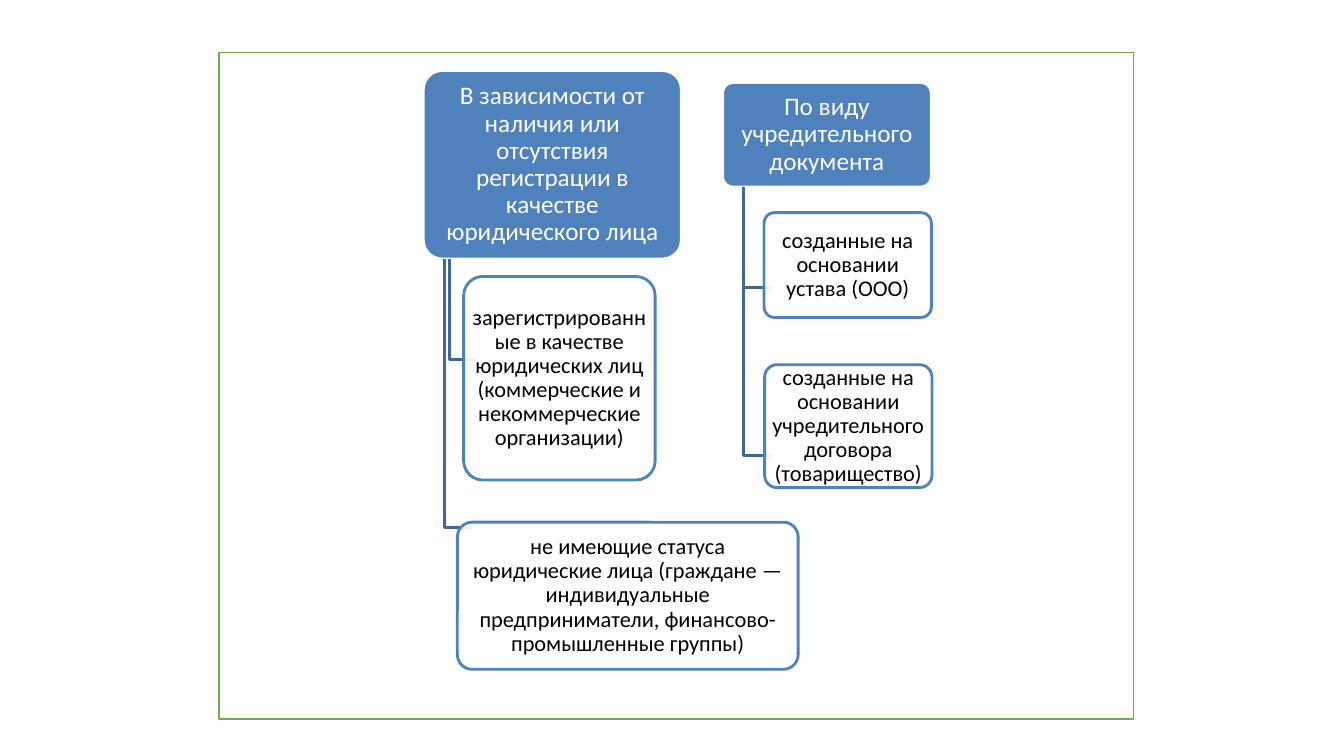
from dataclasses import dataclass

from lxml.etree import SubElement
from pptx import Presentation
from pptx.dml.color import RGBColor
from pptx.enum.shapes import MSO_SHAPE
from pptx.enum.text import MSO_ANCHOR, PP_ALIGN
from pptx.oxml.ns import qn
from pptx.util import Pt


@dataclass(frozen=True)
class Theme:
    font: str = "Calibri"
    white: RGBColor = RGBColor(0xFF, 0xFF, 0xFF)
    black: RGBColor = RGBColor(0, 0, 0)
    green: RGBColor = RGBColor(0x70, 0xAD, 0x47)
    blue: RGBColor = RGBColor(0x4F, 0x81, 0xBD)
    dark: RGBColor = RGBColor(0x3F, 0x67, 0x97)
    head: int = 18
    body: int = 16


THEME = Theme()
REACH = 18.7  # horizontal run of each branch

# Each group: head text, head box, then children as
# (text, box, branch x, branch y); boxes are left, top, width, height.
GROUPS = [
    ("В зависимости от наличия или отсутствия регистрации в качестве "
     "юридического лица",
     (302.4, 50.4, 184.3, 134.6),
     [("зарегистрированные в качестве юридических лиц (коммерческие и "
       "некоммерческие организации)",
       (331.2, 197.5, 136.8, 145.4), 321.1, 257),
      ("не имеющие статуса юридические лица (граждане — индивидуальные "
       "предприниматели, финансово-промышленные группы)",
       (326.7, 373, 243.4, 105.1), 317.5, 377)]),
    ("По виду учредительного документа",
     (516.2, 59, 149, 74.6),
     [("созданные на основании устава (ООО)",
       (545.8, 151.9, 119.5, 74.9), 531.3, 205.2),
      ("созданные на основании учредительного договора (товарищество)",
       (546.2, 260.5, 119.5, 87.8), 531.3, 325.4)]),
]


def add_box(slide, kind, box, fill, line, width):
    shape = slide.shapes.add_shape(kind, *map(Pt, box))
    shape.shadow.inherit = False
    shape.fill.solid()
    shape.fill.fore_color.rgb = fill
    shape.line.color.rgb = line
    shape.line.width = Pt(width)
    return shape


def add_card(slide, text, box, fill, line, color, size):
    card = add_box(slide, MSO_SHAPE.ROUNDED_RECTANGLE, box, fill, line, 2)
    card.adjustments[0] = 0.1
    frame = card.text_frame
    frame.word_wrap = True
    frame.vertical_anchor = MSO_ANCHOR.MIDDLE
    frame.margin_left = frame.margin_right = Pt(size * 0.15)
    frame.margin_top = frame.margin_bottom = Pt(size * 0.1)
    para = frame.paragraphs[0]
    para.alignment = PP_ALIGN.CENTER
    para.line_spacing = 0.9
    run = para.add_run()
    run.text = text
    run.font.name = THEME.font
    run.font.size = Pt(size)
    run.font.color.rgb = color
    return card


def set_alpha(shape, share):
    """Set the opacity of a solid fill, in percent."""
    color = shape.element.spPr.find(qn("a:solidFill"))[0]
    SubElement(color, qn("a:alpha")).set("val", str(share * 1000))


def add_branch(slide, x, top, y):
    """Draw an elbow that drops from top to y, then runs right."""
    path = slide.shapes.build_freeform(Pt(x), Pt(top))
    path.add_line_segments(
        [(Pt(x), Pt(y)), (Pt(x + REACH), Pt(y))], close=False)
    branch = path.convert_to_shape()
    branch.shadow.inherit = False
    branch.fill.background()
    branch.line.color.rgb = THEME.dark
    branch.line.width = Pt(2)


def add_group(slide, title, box, items):
    add_card(slide, title, box, THEME.blue, THEME.white, THEME.white,
             THEME.head)
    base = box[1] + box[3]
    for text, place, x, y in items:
        add_branch(slide, x, base, y)
        card = add_card(slide, text, place, THEME.white, THEME.blue,
                        THEME.black, THEME.body)
        set_alpha(card, 90)


def main():
    deck = Presentation()
    deck.slide_width, deck.slide_height = Pt(960), Pt(540)
    slide = deck.slides.add_slide(deck.slide_layouts[6])
    add_box(slide, MSO_SHAPE.RECTANGLE, (156.5, 37.5, 653, 476),
            THEME.white, THEME.green, 1)
    for group in GROUPS:
        add_group(slide, *group)
    deck.save("out.pptx")


if __name__ == "__main__":
    main()
